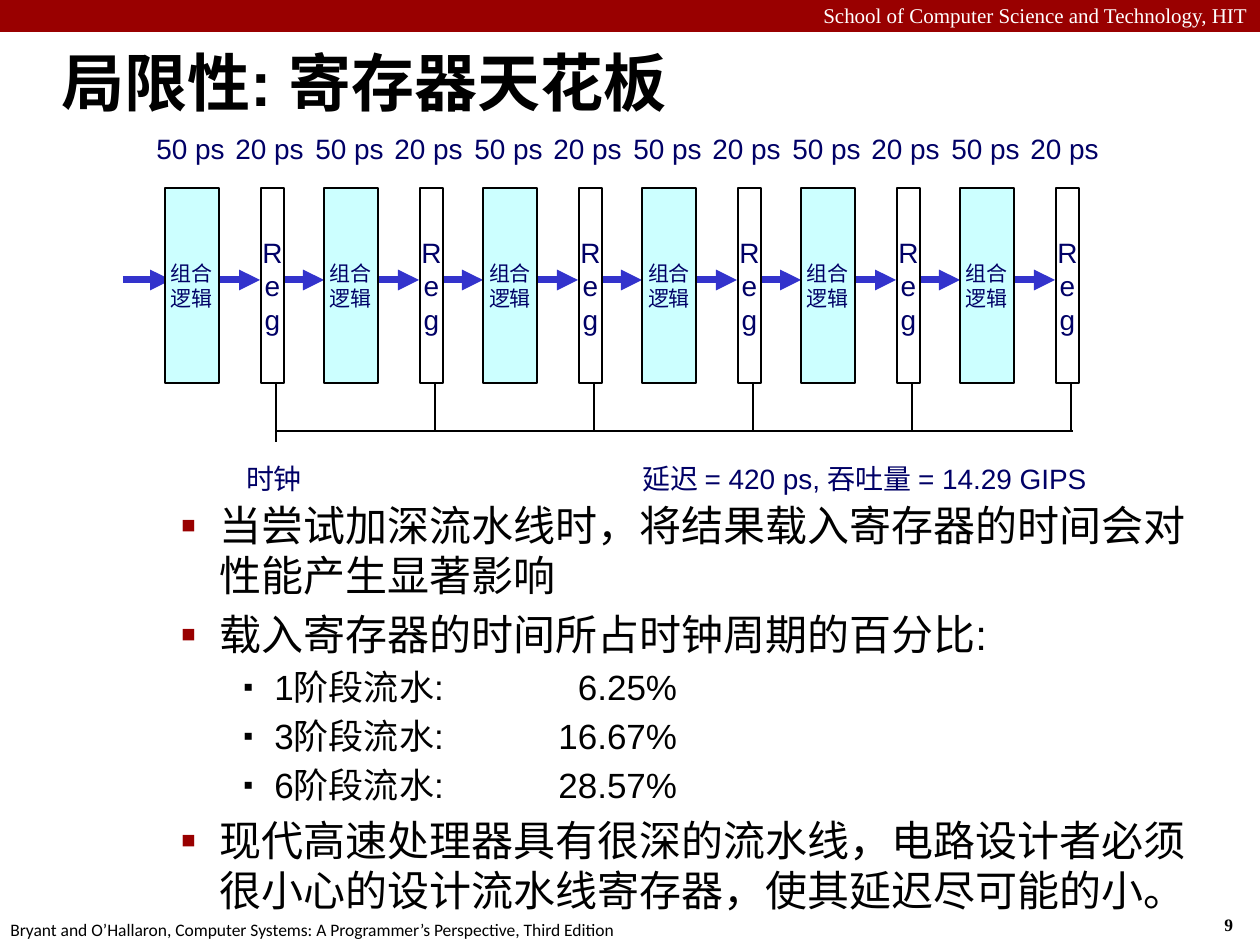
from dataclasses import dataclass

from lxml.etree import SubElement
from pptx import Presentation
from pptx.dml.color import RGBColor as Color
from pptx.enum.shapes import MSO_CONNECTOR as Connector, MSO_SHAPE as Preset
from pptx.enum.text import MSO_ANCHOR as Anchor, MSO_AUTO_SIZE as AutoSize, PP_ALIGN as Align
from pptx.oxml.ns import qn
from pptx.util import Pt

SCALE = 914400 / 126


@dataclass(frozen=True)
class Theme:
    """Colours, fonts and type sizes of the deck."""
    red: str = "990000"
    white: str = "FFFFFF"
    black: str = "000000"
    navy: str = "000066"
    arrow: str = "3333CC"
    logic: str = "CCFFFF"
    sans: str = "Arial"
    serif: str = "Times New Roman"
    footer: str = "Calibri"
    title_size: int = 36
    point_size: int = 24
    detail_size: int = 20
    label_size: int = 16
    small_size: int = 12
    footer_size: int = 10


@dataclass(frozen=True)
class Box:
    """A rectangle in px."""
    x: int
    y: int
    width: int
    height: int

    def inner(self, x, y, width, height):
        """Return a box placed relative to this one."""
        return Box(self.x + x, self.y + y, width, height)

    def emu(self):
        """Return left, top, width and height in EMU."""
        return [px(n) for n in (self.x, self.y, self.width, self.height)]


THEME = Theme()


def px(length):
    """Turn px into EMU."""
    return round(length * SCALE)


def add_span(para, text, size, color=THEME.black, font=THEME.sans, bold=False):
    """Add one run of text to a paragraph."""
    span = para.add_run()
    span.text = text
    span.font.size, span.font.name, span.font.bold = Pt(size), font, bold
    span.font.color.rgb = Color.from_string(color)


def add_label(page, box, text, size, color=THEME.navy, font=THEME.sans,
              bold=False, align=Align.LEFT, wrap=False):
    """Add a one-line text box and return its frame."""
    frame = page.shapes.add_textbox(*box.emu()).text_frame
    frame.word_wrap = wrap
    frame.auto_size = AutoSize.SHAPE_TO_FIT_TEXT
    para = frame.paragraphs[0]
    para.alignment = align
    add_span(para, text, size, color, font, bold)
    return frame


def add_block(page, box, fill, lines=(), size=THEME.label_size, border=THEME.black):
    """Add a filled rectangle with one centred paragraph for each line."""
    block = page.shapes.add_shape(Preset.RECTANGLE, *box.emu())
    block.shadow.inherit = False
    block.fill.solid()
    block.fill.fore_color.rgb = Color.from_string(fill)
    block.line.color.rgb = Color.from_string(border)
    block.line.width = Pt(1)
    frame = block.text_frame
    frame.word_wrap = False
    frame.vertical_anchor = Anchor.MIDDLE
    for index, text in enumerate(lines):
        para = frame.add_paragraph() if index else frame.paragraphs[0]
        para.alignment = Align.CENTER
        add_span(para, text, size, THEME.navy)


def add_line(page, x1, y1, x2, y2, color=THEME.black, weight=1, arrow=False):
    """Add a straight line, with an arrowhead at its end if asked."""
    line = page.shapes.add_connector(Connector.STRAIGHT, px(x1), px(y1), px(x2), px(y2))
    line.line.color.rgb = Color.from_string(color)
    line.line.width = Pt(weight)
    properties = line.element.spPr
    if arrow:
        SubElement(properties.find(qn("a:ln")), qn("a:tailEnd"), type="triangle")
    SubElement(properties, qn("a:effectLst"))


def add_header(page, box):
    """Draw the red bar with the school name."""
    add_block(page, box, THEME.red, border=THEME.red)
    add_label(page, box.inner(0, -4, box.width, 38),
              "School of Computer Science and Technology, HIT",
              THEME.small_size, THEME.white, THEME.serif, align=Align.RIGHT, wrap=True)


def add_footer(page, box):
    """Place the book credit and the page number."""
    add_label(page, box.inner(-2, 5, 640, 34),
              "Bryant and O’Hallaron, Computer Systems: A Programmer’s Perspective, Third Edition",
              THEME.footer_size, THEME.black, THEME.footer)
    add_label(page, box.inner(1212, 0, 47, 34), "9",
              THEME.footer_size, THEME.black, THEME.serif, bold=True)


def add_title(page, box):
    """Place the slide title, centred in the height of its box."""
    frame = add_label(page, box, "局限性: 寄存器天花板", THEME.title_size,
                      THEME.black, bold=True, wrap=True)
    frame.auto_size = AutoSize.NONE
    frame.vertical_anchor = Anchor.MIDDLE


def add_pipeline(page, box, stages=6, pitch=159):
    """Draw the pipeline stages with their delays, the clock line and the result."""
    top, middle, bottom, bus = (box.y + n for n in (63, 155, 258, 306))
    starts = [box.x + 42 + pitch * stage for stage in range(stages)]
    for stage, x in enumerate(starts):
        entry = x - 48 if stage else box.x
        for start in (entry, x + 47):
            add_line(page, start, middle, start + 48, middle, THEME.arrow, 4, True)
    for stage, x in enumerate(starts):
        add_block(page, Box(x, top, 54, 195), THEME.logic, ("组合", "逻辑"), THEME.small_size)
        add_block(page, Box(x + 96, top, 23, 195), THEME.white, "Reg")
        add_line(page, x + 111, bottom, x + 111, bus if stage else bus + 11)
        for offset, delay in ((-26, "50 ps"), (53, "20 ps")):
            add_label(page, Box(x + offset, box.y, 103, 55), delay,
                      THEME.label_size, align=Align.CENTER)
    add_line(page, starts[0] + 111, bus, starts[-1] + 113, bus)
    add_label(page, box.inner(105, 330, 92, 57), "时钟", THEME.label_size, align=Align.CENTER)
    add_label(page, box.inner(507, 330, 535, 57),
              "延迟 = 420 ps, 吞吐量 = 14.29 GIPS", THEME.label_size)


def format_point(para, level, margin, hanging, percent, color):
    """Give a paragraph its indent, space before, bullet and decimal tab."""
    para.level = level
    properties = para._p.get_or_add_pPr()
    properties.set("marL", str(px(margin)))
    properties.set("indent", str(-px(hanging)))
    space = SubElement(properties, qn("a:spcBef"))
    SubElement(space, qn("a:spcPct"), val="20000")
    tint = SubElement(properties, qn("a:buClr"))
    SubElement(tint, qn("a:srgbClr"), val=color)
    SubElement(properties, qn("a:buSzPct"), val=str(percent * 1000))
    SubElement(properties, qn("a:buFont"), typeface=THEME.sans)
    SubElement(properties, qn("a:buChar"), char="▪")
    tabs = SubElement(properties, qn("a:tabLst"))
    SubElement(tabs, qn("a:tab"), pos=str(px(480)), algn="dec")


def add_points(page, box):
    """Write the bullet points, with the share of each pipeline depth."""
    points = (
        (1, "当尝试加深流水线时，将结果载入寄存器的时间会对性能产生显著影响"),
        (1, "载入寄存器的时间所占时钟周期的百分比:"),
        (2, "1阶段流水: \t6.25%"),
        (2, "3阶段流水: \t16.67%"),
        (2, "6阶段流水: \t28.57%"),
        (1, "现代高速处理器具有很深的流水线，电路设计者必须很小心的设计流水线寄存器，使其延迟尽可能的小。"),
    )
    styles = {1: (THEME.point_size, (102, 39, 110, THEME.red)),
              2: (THEME.detail_size, (157, 31, 80, THEME.black))}
    frame = page.shapes.add_textbox(*box.emu()).text_frame
    frame.word_wrap = True
    for index, (level, text) in enumerate(points):
        para = frame.add_paragraph() if index else frame.paragraphs[0]
        size, layout = styles[level]
        format_point(para, level, *layout)
        add_span(para, text, size)


def main():
    """Build the slide and save the deck."""
    deck = Presentation()
    deck.slide_width, deck.slide_height = px(1260), px(945)
    page = deck.slides.add_slide(deck.slide_layouts[6])
    add_header(page, Box(0, 0, 1260, 31))
    add_footer(page, Box(0, 908, 1260, 37))
    add_title(page, Box(49, 29, 1211, 105))
    add_points(page, Box(105, 493, 1121, 452))
    add_pipeline(page, Box(123, 125, 1042, 387))
    deck.save("out.pptx")


if __name__ == "__main__":
    main()
